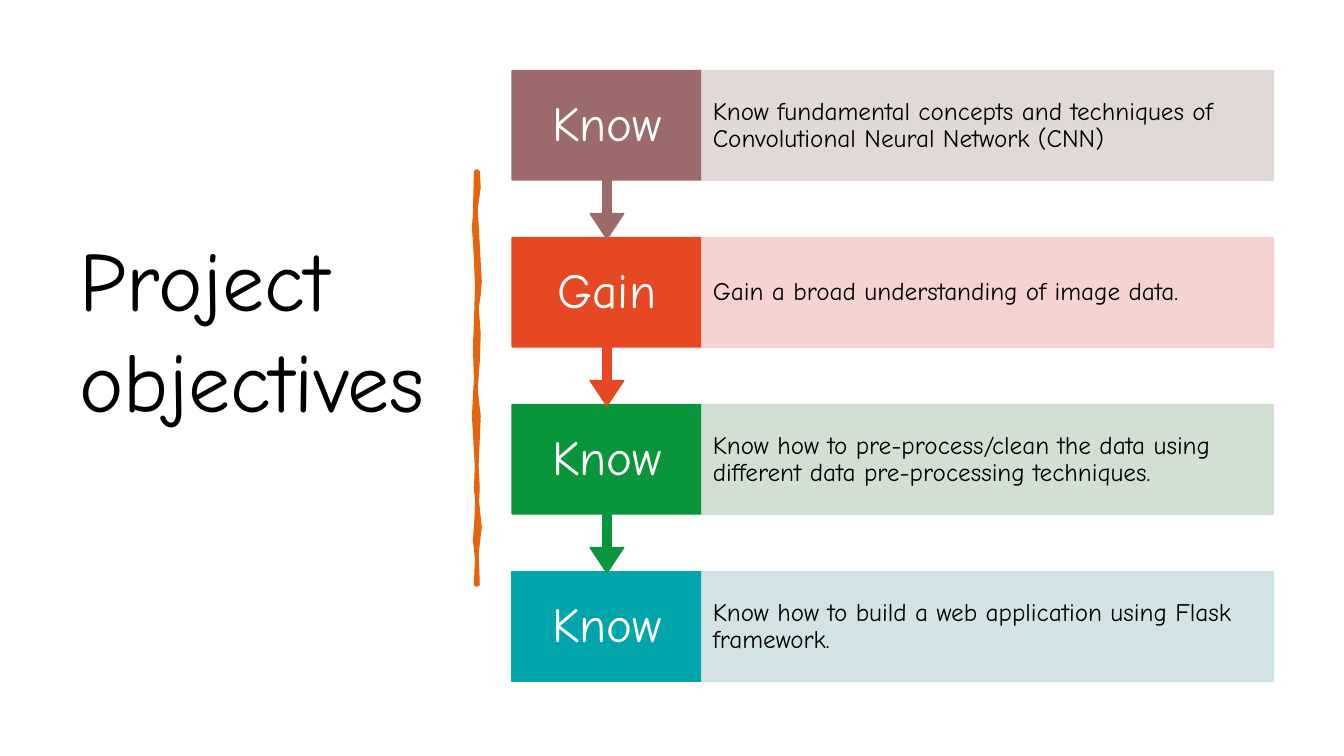
from lxml.etree import SubElement as Sub
from pptx import Presentation
from pptx.dml.color import RGBColor
from pptx.enum.shapes import MSO_SHAPE as Kind
from pptx.enum.text import MSO_ANCHOR as Anchor, PP_ALIGN as Align
from pptx.oxml.ns import qn
from pptx.util import Emu, Pt

FONT = "Comic Neue"
STEPS = [
    ("Know", "9C6A6A", "DED4D4",
     "Know fundamental concepts and techniques of Convolutional Neural Network (CNN)"),
    ("Gain", "E64823", "F5CFCD", "Gain a broad understanding of image data."),
    ("Know", "09963B", "CCDDCE",
     "Know how to pre-process/clean the data using different data pre-processing techniques."),
    ("Know", "00A5AB", "CCE1E2",
     "Know how to build a web application using Flask framework."),
]
STROKE = [
    (2, 0), (4, 0), (5, 16), (2, 37), (4, 73), (6, 109), (5, 122), (3, 136),
    (5, 161), (4, 189), (2, 217), (5, 243), (4, 266), (3, 288), (2, 315),
    (4, 334), (6, 353), (3, 378), (4, 410), (2, 410), (3, 384), (1, 366),
    (2, 354), (3, 335), (4, 313), (2, 278), (0, 243), (2, 205), (1, 175),
    (2, 149), (3, 115), (2, 85), (0, 56), (1, 42),
]


def px(n):
    return Emu(round(n * 9144))


def tint(hue):
    return RGBColor.from_string(hue)


def put(obj, **vals):
    for key, val in vals.items():
        setattr(obj, key, val)


def paint(shape, hue, width, alpha=None):
    shape.shadow.inherit = False
    for fill in (shape.fill, shape.line.fill):
        fill.solid()
        fill.fore_color.rgb = tint(hue)
    shape.line.width = Pt(width)
    if alpha:
        for node in list(shape._element.spPr.iter(qn("a:srgbClr"))):
            Sub(node, qn("a:alpha"), val=str(alpha * 1000))


def write(shape, text, size, hue, align, pad, lead):
    frame = shape.text_frame
    side, top = map(px, pad)
    put(frame, word_wrap=True, vertical_anchor=Anchor.MIDDLE,
        margin_left=side, margin_right=side, margin_top=top, margin_bottom=top)
    para = frame.paragraphs[0]
    put(para, alignment=align, line_spacing=lead)
    run = para.add_run()
    run.text = text
    put(run.font, name=FONT, size=Pt(size))
    run.font.color.rgb = tint(hue)


def title(slide, x, y, w, h):
    box = slide.shapes.add_textbox(*map(px, (x, y, w, h)))
    write(box, "Project objectives", 60, "000000", Align.LEFT, (10, 5), 1.0)


def brush(slide, x, y):
    pts = [(px(x + dx), px(y + dy)) for dx, dy in STROKE]
    form = slide.shapes.build_freeform(*pts[0])
    form.add_line_segments(pts[1:], close=True)
    paint(form.convert_to_shape(), "E4650E", 2.75)


def step(slide, x, y, w, h, drop, data):
    name, dark, pale, text = data
    side = w // 4
    kind = Kind.DOWN_ARROW_CALLOUT if drop else Kind.RECTANGLE
    label = slide.shapes.add_shape(kind, *map(px, (x, y, side, h + drop)))
    if drop:
        for i, val in enumerate((0.05, 0.1, 0.15, 0.65)):
            label.adjustments[i] = val
    paint(label, dark, 1)
    write(label, name, 35, "FFFFFF", Align.CENTER, (13, 27), 0.9)
    panel = slide.shapes.add_shape(
        Kind.RECTANGLE, *map(px, (x + side, y, w - side, h)))
    paint(panel, pale, 1, 90)
    write(panel, text, 18, "000000", Align.LEFT, (11, 25), 0.9)


def flow(slide, x, y, w, h):
    high = 109
    last = len(STEPS) - 1
    pitch = (h - high) / last
    for i in range(last, -1, -1):
        drop = 58 if i < last else 0
        step(slide, x, y + pitch * i, w, high, drop, STEPS[i])


def main():
    deck = Presentation()
    put(deck, slide_width=px(1333), slide_height=px(750))
    slide = deck.slides.add_slide(deck.slide_layouts[6])
    title(slide, 69, 70, 374, 511)
    brush(slide, 470, 170)
    flow(slide, 508, 70, 755, 606)
    deck.save("out.pptx")


if __name__ == "__main__":
    main()
